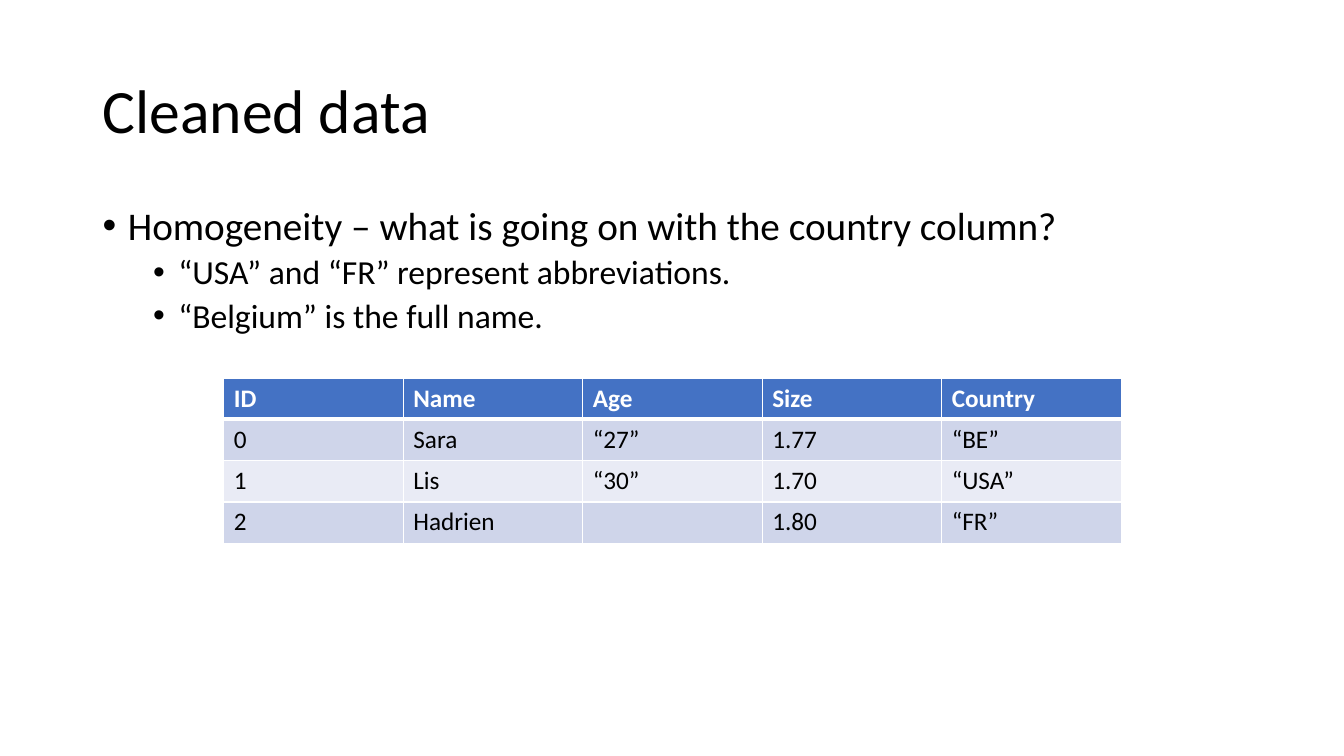
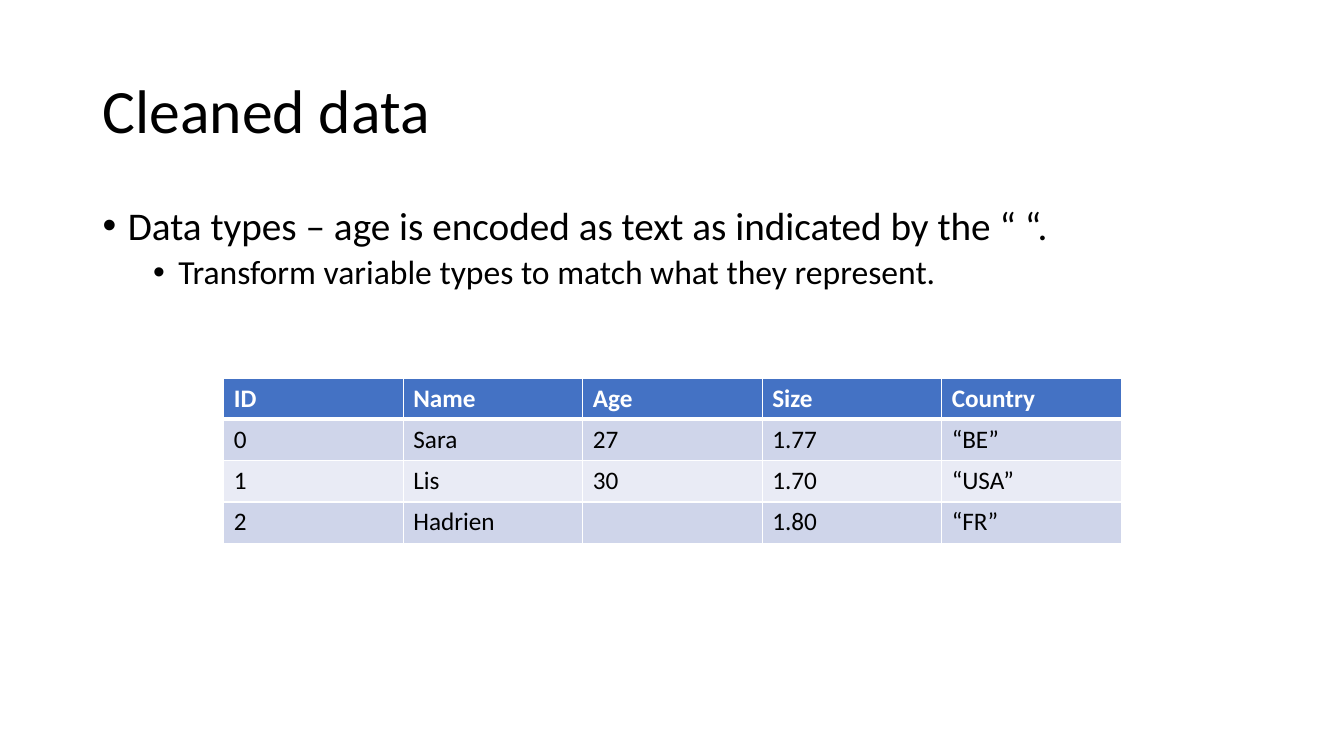
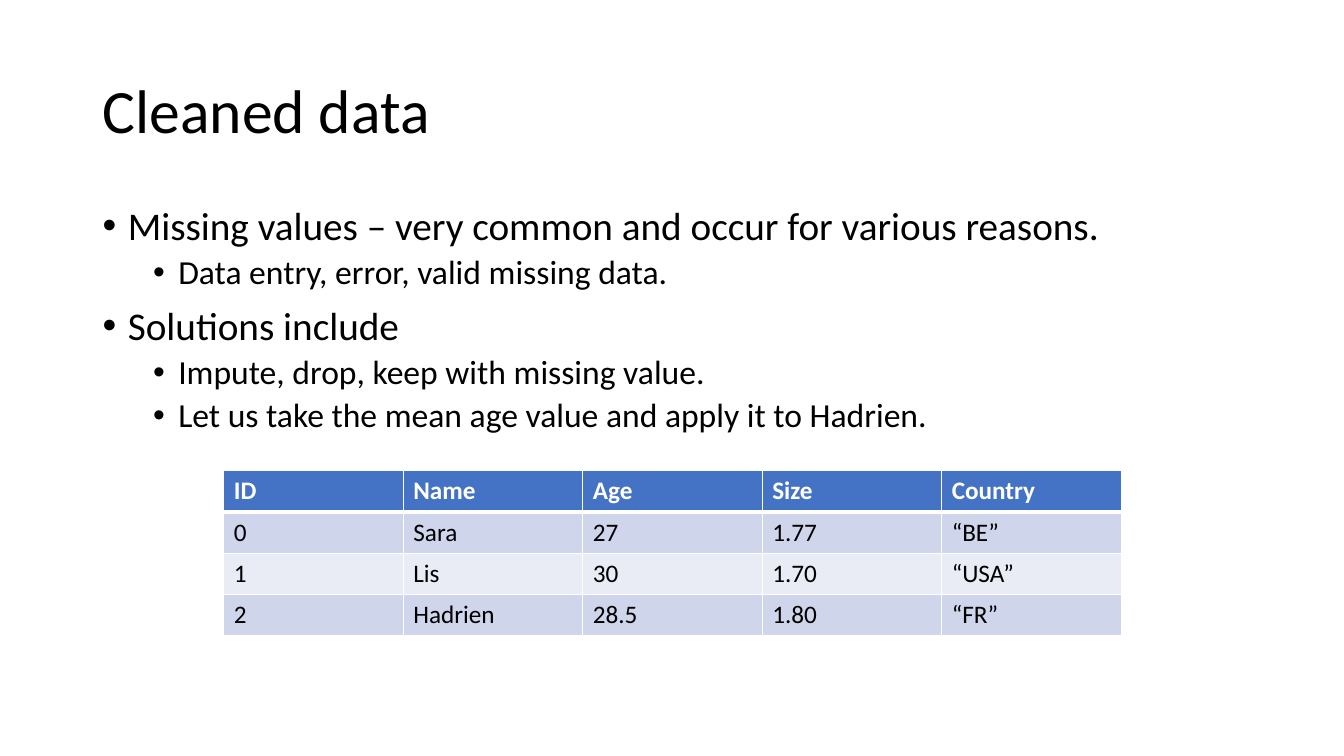
from lxml.etree import SubElement
from pptx import Presentation
from pptx.dml.color import RGBColor
from pptx.enum.text import MSO_ANCHOR
from pptx.oxml.ns import qn
from pptx.util import Inches, Pt

FONT = "Calibri"
BLACK = RGBColor(0x00, 0x00, 0x00)
WHITE = RGBColor(0xFF, 0xFF, 0xFF)
HEADER_BLUE = RGBColor(0x44, 0x72, 0xC4)
BAND_DARK = RGBColor(0xCF, 0xD5, 0xEA)
BAND_LIGHT = RGBColor(0xE9, 0xEB, 0xF5)

TITLE = "Cleaned data"
TEXT_LEFT, TEXT_WIDTH = 0.92, 11.5
TABLE_LEFT, COLUMN_WIDTH, ROW_HEIGHT = 2.22, 1.78, 0.41
BULLET_SIZES = (28, 24)
BULLET_SPACES = (10, 5)
BULLET_INDENTS = (0.25, 0.75)

HEADINGS = ("ID", "Name", "Age", "Size", "Country")
NAMES = ("Sara", "Lis", "Hadrien")
SIZES = ("1.77", "1.70", "1.80")
COUNTRIES = ("“BE”", "“USA”", "“FR”")

SLIDES = (
    (
        (
            (0, "Homogeneity – what is going on with the country column?"),
            (1, "“USA” and “FR” represent abbreviations."),
            (1, "“Belgium” is the full name."),
        ),
        ("“27”", "“30”", ""),
        3.75,
    ),
    (
        (
            (0, "Data types – age is encoded as text as indicated by the “ “."),
            (1, "Transform variable types to match what they represent."),
        ),
        ("27", "30", ""),
        3.75,
    ),
    (
        (
            (0, "Missing values – very common and occur for various reasons."),
            (1, "Data entry, error, valid missing data."),
            (0, "Solutions include"),
            (1, "Impute, drop, keep with missing value."),
            (1, "Let us take the mean age value and apply it to Hadrien."),
        ),
        ("27", "30", "28.5"),
        4.67,
    ),
)


def add_span(para, text, size, color=BLACK, bold=False):
    span = para.add_run()
    span.text = text
    span.font.name = FONT
    span.font.size = Pt(size)
    span.font.color.rgb = color
    span.font.bold = bold


def add_text_frame(page, top, height, anchor):
    box = page.shapes.add_textbox(
        Inches(TEXT_LEFT), Inches(top), Inches(TEXT_WIDTH), Inches(height)
    )
    frame = box.text_frame
    frame.word_wrap = True
    frame.vertical_anchor = anchor
    return frame


def add_title(page):
    para = add_text_frame(page, 0.4, 1.45, MSO_ANCHOR.MIDDLE).paragraphs[0]
    para.line_spacing = 0.9
    add_span(para, TITLE, 44)


def set_bullet(para, level):
    properties = para._p.get_or_add_pPr()
    properties.set("marL", str(Inches(BULLET_INDENTS[level])))
    properties.set("indent", str(Inches(-0.25)))
    SubElement(properties, qn("a:buFont"), typeface="Arial")
    SubElement(properties, qn("a:buChar"), char="•")


def add_bullets(page, bullets):
    frame = add_text_frame(page, 2, 4.76, MSO_ANCHOR.TOP)
    for index, (level, text) in enumerate(bullets):
        para = frame.add_paragraph() if index else frame.paragraphs[0]
        para.level = level
        para.line_spacing = 0.9
        para.space_before = Pt(BULLET_SPACES[level])
        set_bullet(para, level)
        add_span(para, text, BULLET_SIZES[level])


def set_borders(cell, top, bottom):
    properties = cell._tc.get_or_add_tcPr()
    for side, width in (("L", 1), ("R", 1), ("T", top), ("B", bottom)):
        line = SubElement(properties, qn(f"a:ln{side}"), w=str(Pt(width)))
        fill = SubElement(line, qn("a:solidFill"))
        SubElement(fill, qn("a:srgbClr"), val=str(WHITE))


def style_cell(cell, row_index):
    top = 3 if row_index == 1 else 1
    bottom = 3 if row_index == 0 else 1
    set_borders(cell, top, bottom)
    cell.fill.solid()
    if row_index == 0:
        cell.fill.fore_color.rgb = HEADER_BLUE
    else:
        cell.fill.fore_color.rgb = BAND_DARK if row_index % 2 else BAND_LIGHT


def add_people_table(page, ages, top):
    people = zip(("0", "1", "2"), NAMES, ages, SIZES, COUNTRIES)
    rows = [HEADINGS, *people]
    table = page.shapes.add_table(
        len(rows),
        len(HEADINGS),
        Inches(TABLE_LEFT),
        Inches(top),
        Inches(COLUMN_WIDTH * len(HEADINGS)),
        Inches(ROW_HEIGHT * len(rows)),
    ).table
    for row_index, row in enumerate(rows):
        is_header = row_index == 0
        for column_index, text in enumerate(row):
            cell = table.cell(row_index, column_index)
            style_cell(cell, row_index)
            if text:
                color = WHITE if is_header else BLACK
                add_span(cell.text_frame.paragraphs[0], text, 18, color, is_header)


def main():
    deck = Presentation()
    deck.slide_width = Inches(13.33)
    deck.slide_height = Inches(7.5)
    for bullets, ages, table_top in SLIDES:
        page = deck.slides.add_slide(deck.slide_layouts[6])
        add_title(page)
        add_bullets(page, bullets)
        add_people_table(page, ages, table_top)
    deck.save("out.pptx")


main()
